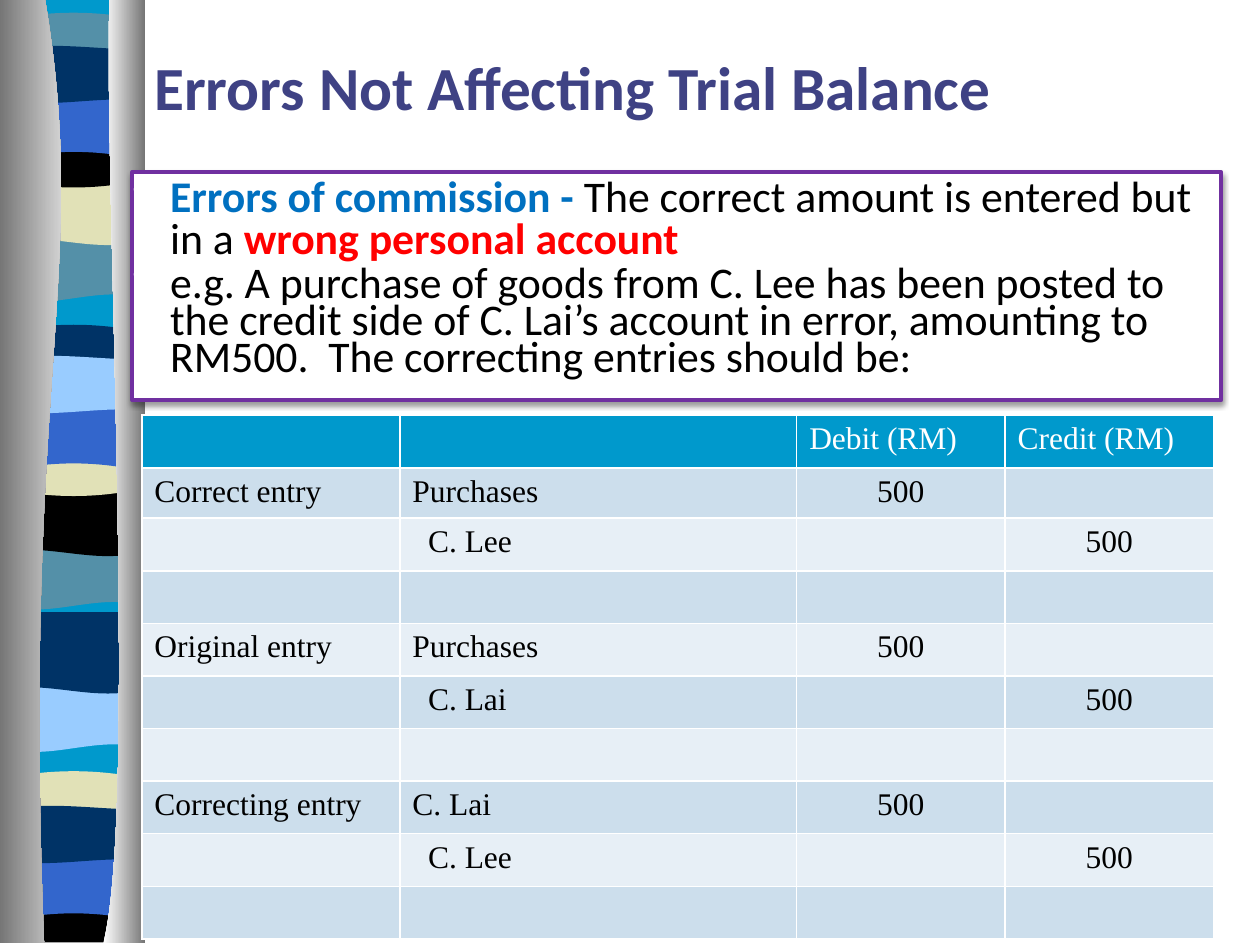
from dataclasses import dataclass

from lxml import etree
from pptx import Presentation
from pptx.dml.color import RGBColor
from pptx.enum.shapes import MSO_SHAPE
from pptx.enum.text import MSO_ANCHOR, PP_ALIGN
from pptx.oxml.ns import qn
from pptx.util import Cm, Pt

RECTANGLE = MSO_SHAPE.RECTANGLE
TOP, MIDDLE = MSO_ANCHOR.TOP, MSO_ANCHOR.MIDDLE
LEFT, CENTER = PP_ALIGN.LEFT, PP_ALIGN.CENTER


@dataclass(frozen=True)
class Theme:
    white: str = "FFFFFF"
    black: str = "000000"
    cyan: str = "0099CC"
    teal: str = "5490A8"
    sand: str = "E1E1B7"
    blue: str = "3366CC"
    navy: str = "003366"
    sky: str = "99CCFF"
    gray: str = "767676"
    purple: str = "7030A0"
    term: str = "0070C0"
    alert: str = "FF0000"
    title: str = "3F4284"
    odd_row: str = "CCDEEC"
    even_row: str = "E7EFF6"
    heading_font: str = "Calibri"
    table_font: str = "Times New Roman"
    title_size: int = 35
    body_size: int = 25
    table_size: int = 18


theme = Theme()
rgb = RGBColor.from_string

deck = Presentation()
deck.slide_width, deck.slide_height = Cm(25.4), Cm(19.05)
page = deck.slides.add_slide(deck.slide_layouts[6])


def outline(start, segments, colors):
    """Closed shape of segments: one point is a line, three points are a curve.

    One color fills it flat, two make a gradient to the right.
    """
    builder = page.shapes.build_freeform(Cm(start[0]), Cm(start[1]))
    builder.add_line_segments([(Cm(x), Cm(y)) for segment in segments for x, y in segment],
                              close=True)
    shape = builder.convert_to_shape()
    steps = shape._element.spPr.findall(".//" + qn("a:lnTo"))
    for segment in segments:
        group, steps = steps[:len(segment)], steps[len(segment):]
        if len(group) == 3:
            bend = etree.Element(qn("a:cubicBezTo"))
            group[0].addprevious(bend)
            for step in group:
                bend.append(step[0])
                step.getparent().remove(step)
    shape.shadow.inherit = False
    shape.line.fill.background()
    if len(colors) == 1:
        shape.fill.solid()
        shape.fill.fore_color.rgb = rgb(colors[0])
    else:
        shape.fill.gradient()
        shape.fill.gradient_angle = 0
        for stop, color in zip(shape.fill.gradient_stops, colors):
            stop.color.rgb = rgb(color)


# Striped ribbon: heights of the top and bottom edge at four control points
RIBBON_LEFT, RIBBON_WIDTH, RIBBON_BOTTOM = 0.1, 2.77, 19
falling = ((-0.21,) * 4, (1.34, 1.61, 1.08, 1.34))
rising = ((-0.21,) * 4, (1.34, 1.18, 1.61, 1.34))
lens = ((0.04, -0.15, -0.15, 0.04), (0.83, 0.96, 0.96, 0.83))
bowl = ((-0.14, 0.02, -0.14, -0.14), (0.91, 1.11, 1.11, 0.91))
arch = ((-0.18,) * 4, (1.37, 1.16, 1.16, 1.37))
wave = ((0.01, -0.16, 0.01, 0.01), (1.03, 1.2, 0.95, 1.03))
bands = [
    (4.67, falling, theme.teal), (3.51, rising, theme.sand), (0.36, lens, theme.teal),
    (2.72, bowl, theme.black), (1.85, arch, theme.blue), (0.99, wave, theme.navy),
    (10.87, falling, theme.teal), (9.78, rising, theme.black), (6.65, lens, theme.navy),
    (8.94, bowl, theme.sand), (8.13, arch, theme.blue), (7.24, wave, theme.sky),
    (13.74, falling, theme.sky), (12.55, rising, theme.navy), (15.65, lens, theme.sand),
    (18.08, bowl, theme.black), (17.2, arch, theme.blue), (16.31, wave, theme.navy),
]
right = RIBBON_LEFT + RIBBON_WIDTH
outline((RIBBON_LEFT, 0), [[(right, 0)], [(right, RIBBON_BOTTOM)],
                           [(RIBBON_LEFT, RIBBON_BOTTOM)]], [theme.cyan])
for offset, profile, color in bands:
    top_edge, bottom_edge = [
        [(RIBBON_LEFT + RIBBON_WIDTH * i / 3, min(offset + y, RIBBON_BOTTOM))
         for i, y in enumerate(edge)] for edge in profile]
    bottom_edge.reverse()
    is_flat = len(set(profile[0])) == 1
    outline(top_edge[0], [top_edge[3:] if is_flat else top_edge[1:],
                          bottom_edge[:1], bottom_edge[1:]], [color])

# Gray curtains on both sides of the ribbon
outline((0.91, 0), [[(1.83, 5.49), (0.43, 7.52), (0.89, 19.02)], [(0, 19.02)], [(0, 0)]],
        [theme.gray, theme.white])
outline((2.21, 0), [[(2.08, 3.18), (2.79, 16.41), (2.08, 19.02)], [(2.92, 19.02)],
                    [(2.92, 0)]], [theme.white, theme.gray])

# Explanation box
box = page.shapes.add_shape(RECTANGLE, Cm(2.67), Cm(3.47), Cm(21.95), Cm(4.6))
box.fill.solid()
box.fill.fore_color.rgb = rgb(theme.white)
box.line.color.rgb = rgb(theme.purple)
box.line.width = Pt(2.25)
box.shadow.inherit = False
effects = box._element.spPr.find(qn("a:effectLst"))
shadow = etree.SubElement(effects, qn("a:outerShdw"), blurRad=str(Pt(3.1)),
                          dist=str(Pt(1.6)), dir="5400000", rotWithShape="0")
shade = etree.SubElement(shadow, qn("a:srgbClr"), val=theme.black)
etree.SubElement(shade, qn("a:alpha"), val="38000")

frame = box.text_frame
frame.word_wrap = True
frame.vertical_anchor = TOP
frame.margin_left, frame.margin_right = Cm(0), Cm(0.05)
frame.margin_top = frame.margin_bottom = Cm(0.13)
explanation = [
    (0.8, [("Errors of commission - ", theme.term, True),
           ("The correct amount is entered but in a ", theme.black, False),
           ("wrong personal account", theme.alert, True)]),
    (0.7, [("e.g. A purchase of goods from C. Lee has been posted to the credit side of "
            "C. Lai’s account in error, amounting to RM500.  The correcting entries "
            "should be:", theme.black, False)]),
]
for index, (spacing, spans) in enumerate(explanation):
    para = frame.add_paragraph() if index else frame.paragraphs[0]
    para.alignment = LEFT
    para.line_spacing = spacing
    para.space_before = Pt(4)
    settings = para._p.get_or_add_pPr()
    settings.set("marL", str(Cm(0.76)))
    settings.set("indent", str(Cm(-0.76)))
    bullet_color = etree.SubElement(settings, qn("a:buClr"))
    etree.SubElement(bullet_color, qn("a:srgbClr"), val=theme.white)
    etree.SubElement(settings, qn("a:buSzPct"), val="95000")
    etree.SubElement(settings, qn("a:buChar"), char="•")
    for text, color, bold in spans:
        span = para.add_run()
        span.text = text
        span.font.name = theme.heading_font
        span.font.size = Pt(theme.body_size)
        span.font.bold = bold
        span.font.color.rgb = rgb(color)

# Title
title = page.shapes.add_textbox(Cm(2.86), Cm(0.34), Cm(21.56), Cm(2.79))
title.text_frame.word_wrap = True
title.text_frame.vertical_anchor = MIDDLE
title.text_frame.text = "Errors Not Affecting Trial Balance"
font = title.text_frame.paragraphs[0].runs[0].font
font.name, font.size, font.bold = theme.heading_font, Pt(theme.title_size), True
font.color.rgb = rgb(theme.title)

# Journal table
entries = [
    ("", "", "Debit (RM)", "Credit (RM)"),
    ("Correct entry", "Purchases", "500", ""),
    ("", "C. Lee", "", "500"),
    ("", "", "", ""),
    ("Original entry", "Purchases", "500", ""),
    ("", "C. Lai", "", "500"),
    ("", "", "", ""),
    ("Correcting entry", "C. Lai", "500", ""),
    ("", "C. Lee", "", "500"),
    ("", "", "", ""),
]
column_widths = (5.2, 8, 4.2, 4.2)
row_heights = [1.06, 1.01] + [1.06] * 8
table = page.shapes.add_table(len(entries), len(column_widths), Cm(2.86), Cm(8.37),
                              Cm(sum(column_widths)), Cm(sum(row_heights))).table
for column, width in zip(table.columns, column_widths):
    column.width = Cm(width)
for row_index, entry in enumerate(entries):
    table.rows[row_index].height = Cm(row_heights[row_index])
    is_header = row_index == 0
    row_fill = theme.cyan if is_header else (theme.even_row, theme.odd_row)[row_index % 2]
    for column_index, text in enumerate(entry):
        cell = table.cell(row_index, column_index)
        cell.fill.solid()
        cell.fill.fore_color.rgb = rgb(row_fill)
        for position, side in enumerate(("a:lnL", "a:lnR", "a:lnT", "a:lnB")):
            border = etree.Element(qn(side), w=str(Pt(1)))
            paint = etree.SubElement(border, qn("a:solidFill"))
            etree.SubElement(paint, qn("a:srgbClr"), val=theme.white)
            cell._tc.get_or_add_tcPr().insert(position, border)
        if not text:
            continue
        cell.text_frame.text = text
        para = cell.text_frame.paragraphs[0]
        para.alignment = CENTER if text == "500" else LEFT
        if column_index == 1 and entry[3]:  # credited accounts are indented
            cell.margin_left = Cm(0.57)
        font = para.runs[0].font
        font.name, font.size, font.bold = theme.table_font, Pt(theme.table_size), False
        font.color.rgb = rgb(theme.white if is_header else theme.black)

deck.save("out.pptx")
